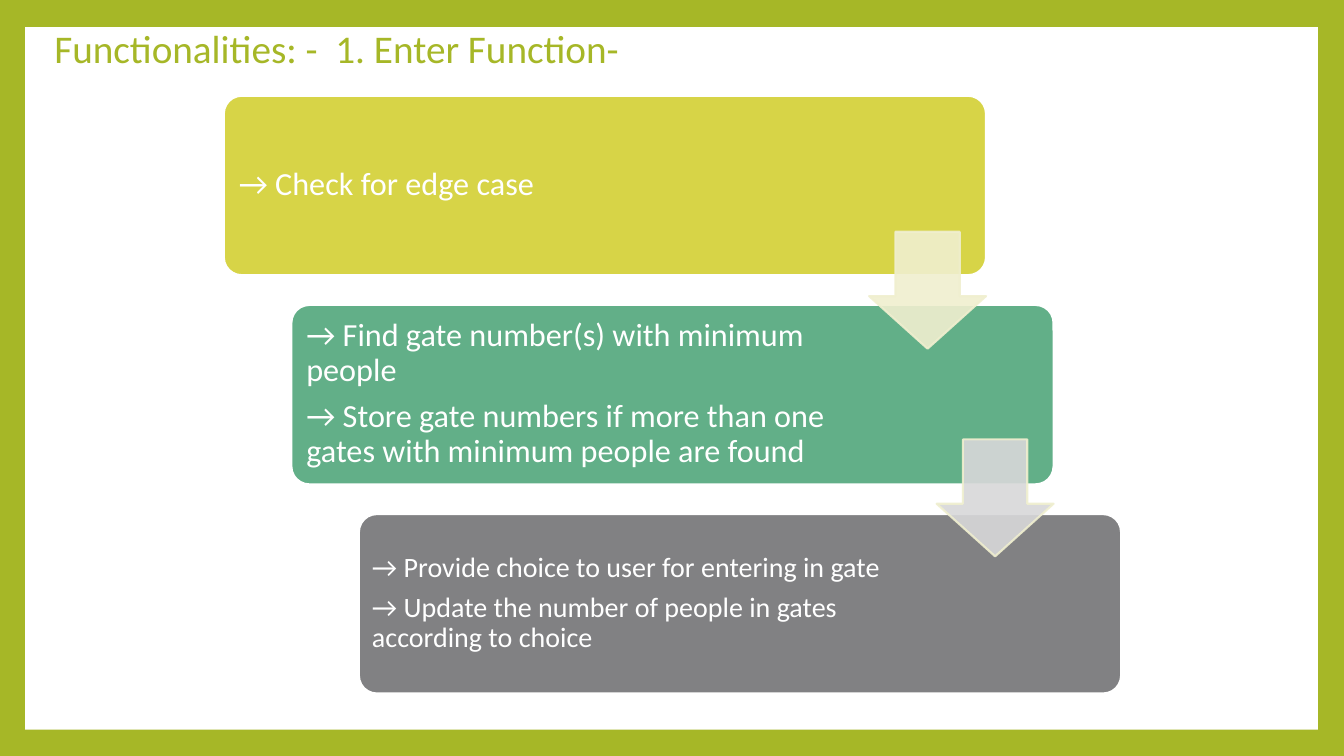
"""Build the slide that shows the steps of the Enter function as a staircase."""
from dataclasses import dataclass

from lxml import etree
from pptx import Presentation
from pptx import util as u
from pptx.dml.color import RGBColor
from pptx.enum import shapes, text
from pptx.oxml import ns

FONT = "Calibri"
LIME = RGBColor(0xA6, 0xB7, 0x27)
WHITE = RGBColor(0xFF, 0xFF, 0xFF)
YELLOW = RGBColor(0xD7, 0xD4, 0x47)
GREEN = RGBColor(0x62, 0xAF, 0x88)
GRAY = RGBColor(0x81, 0x81, 0x83)
CREAM = RGBColor(0xF0, 0xEF, 0xCF)
SILVER = RGBColor(0xD8, 0xD8, 0xD9)

STEP_LEFT, STEP_TOP = 2.22, 0.95
STEP_WIDTH, STEP_HEIGHT = 7.56, 1.78
SHIFT_X, SHIFT_Y = 0.67, 2.075
TEXT_INSET, TEXT_WIDTH, TEXT_HEIGHT = 0.05, 5.63, 1.67
ARROW_SIZE = 1.16
ARROW_OPACITY = 90


@dataclass(frozen=True)
class Step:
    """One box of the staircase."""
    fill: RGBColor
    size: int
    margin: float
    lines: tuple[str, ...]


@dataclass(frozen=True)
class Arrow:
    """One arrow leading to the next step."""
    top: float
    fill: RGBColor


STEPS = (
    Step(YELLOW, 23, 0.1, ("→ Check for edge case",)),
    Step(GREEN, 23, 0.1, (
        "→ Find gate number(s) with minimum people",
        "→ Store gate numbers if more than one gates with minimum people are found",
    )),
    Step(GRAY, 20, 0.08, (
        "→ Provide choice to user for entering in gate",
        "→ Update the number of people in gates according to choice",
    )),
)
ARROWS = (Arrow(2.3, CREAM), Arrow(4.36, SILVER))


def add_block(slide, kind, left: float, top: float, width: float, height: float,
              fill: RGBColor, outline: RGBColor | None = None,
              adjustments: tuple[float, ...] = ()):
    """Add a filled preset shape, outlined when a colour is given."""
    block = slide.shapes.add_shape(
        kind, u.Inches(left), u.Inches(top), u.Inches(width), u.Inches(height))
    block.shadow.inherit = False
    block.fill.solid()
    block.fill.fore_color.rgb = fill
    if outline is None:
        block.line.fill.background()
    else:
        block.line.color.rgb = outline
        block.line.width = u.Pt(1.5)
    for index, value in enumerate(adjustments):
        block.adjustments[index] = value
    return block


def add_label(slide, left: float, top: float, width: float, height: float,
              lines: tuple[str, ...], size: int, color: RGBColor):
    """Add wrapped text and return its frame."""
    frame = slide.shapes.add_textbox(
        u.Inches(left), u.Inches(top), u.Inches(width), u.Inches(height)).text_frame
    frame.word_wrap = True
    frame.text = "\n".join(lines)
    for paragraph in frame.paragraphs:
        paragraph.font.name = FONT
        paragraph.font.size = u.Pt(size)
        paragraph.font.color.rgb = color
    return frame


def add_step(slide, index: int, step: Step) -> None:
    """Add a step box and its text."""
    left, top = STEP_LEFT + index * SHIFT_X, STEP_TOP + index * SHIFT_Y
    add_block(slide, shapes.MSO_SHAPE.ROUNDED_RECTANGLE, left, top,
              STEP_WIDTH, STEP_HEIGHT, step.fill, WHITE, (0.1,))
    frame = add_label(slide, left + TEXT_INSET, top + TEXT_INSET,
                      TEXT_WIDTH, TEXT_HEIGHT, step.lines, step.size, WHITE)
    frame.vertical_anchor = text.MSO_ANCHOR.MIDDLE
    frame.margin_left = frame.margin_right = u.Inches(step.margin)
    frame.margin_top = frame.margin_bottom = u.Inches(step.margin)
    for paragraph in frame.paragraphs:
        paragraph.line_spacing = 0.9
        paragraph.space_after = u.Pt(round(step.size * 0.35))


def add_arrow(slide, index: int, arrow: Arrow) -> None:
    """Add a translucent arrow flush with the right edge of its step."""
    left = STEP_LEFT + STEP_WIDTH - ARROW_SIZE + index * SHIFT_X
    block = add_block(slide, shapes.MSO_SHAPE.DOWN_ARROW, left, arrow.top,
                      ARROW_SIZE, ARROW_SIZE, arrow.fill, CREAM, (0.55, 0.45))
    for color in block.element.spPr.iter(ns.qn("a:srgbClr")):
        etree.SubElement(color, ns.qn("a:alpha"), val=str(ARROW_OPACITY * 1000))


def main() -> None:
    """Build and save the slide."""
    deck = Presentation()
    deck.slide_width, deck.slide_height = u.Inches(13.33), u.Inches(7.5)
    slide = deck.slides.add_slide(deck.slide_layouts[6])
    slide.background.fill.solid()
    slide.background.fill.fore_color.rgb = LIME
    add_block(slide, shapes.MSO_SHAPE.RECTANGLE, 0.25, 0.27, 12.82, 6.97, WHITE)
    heading = add_label(slide, 0.44, 0.19, 9.86, 0.57,
                        ("Functionalities: -  1. Enter Function-",), 28, LIME)
    heading.auto_size = text.MSO_AUTO_SIZE.SHAPE_TO_FIT_TEXT
    for index, step in enumerate(STEPS):
        add_step(slide, index, step)
    for index, arrow in enumerate(ARROWS):
        add_arrow(slide, index, arrow)
    deck.save("out.pptx")


if __name__ == "__main__":
    main()
